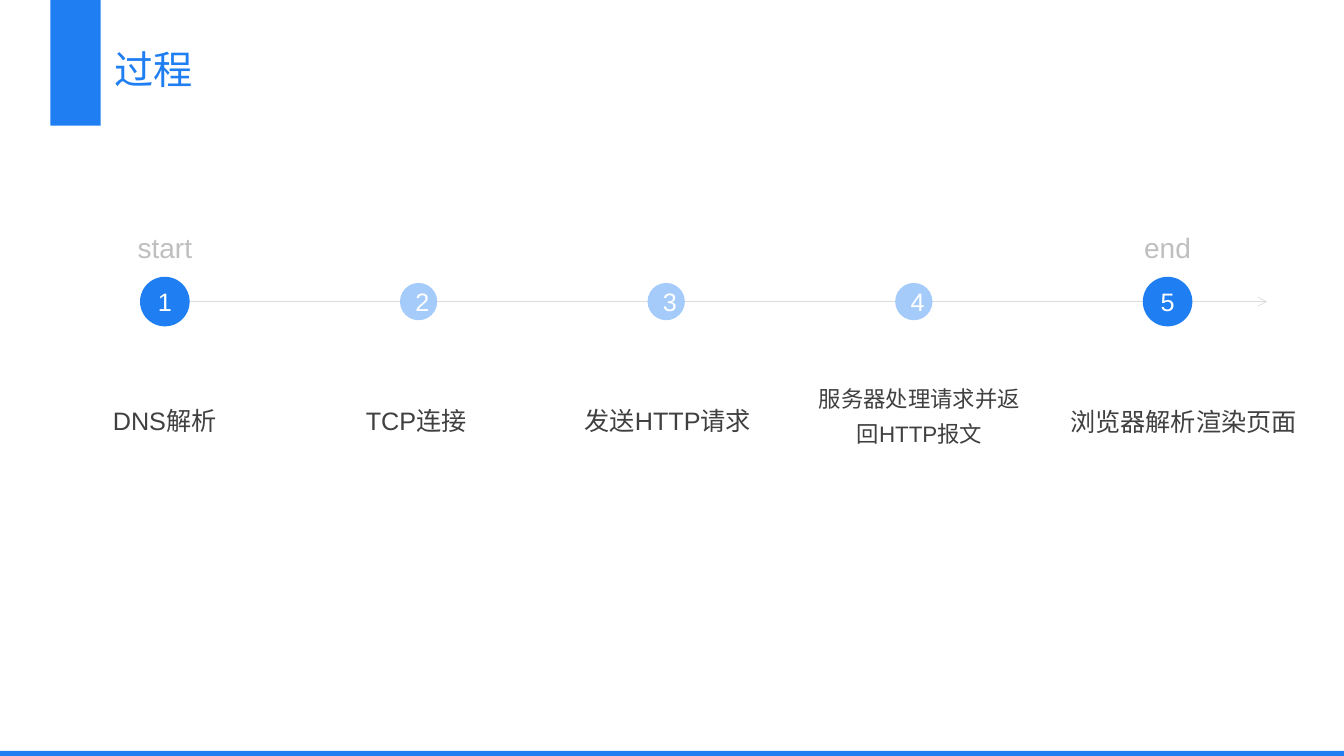
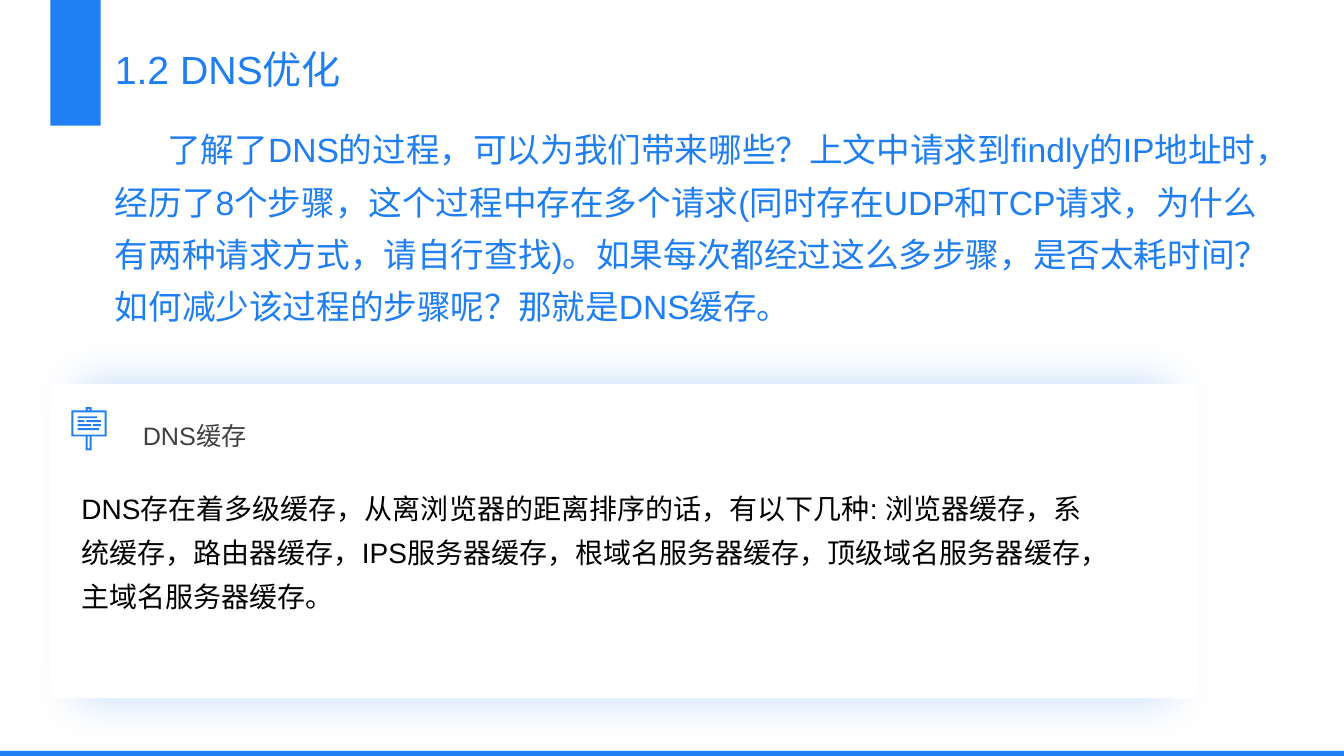
from dataclasses import dataclass
from typing import NamedTuple

from lxml.etree import SubElement
from pptx import Presentation
from pptx.dml.color import RGBColor
from pptx.enum.shapes import MSO_CONNECTOR, MSO_SHAPE
from pptx.enum.text import MSO_ANCHOR, MSO_AUTO_SIZE, PP_ALIGN
from pptx.oxml.ns import qn
from pptx.util import Cm, Pt

BLUE = RGBColor(0x1E, 0x7E, 0xF2)
PALE = RGBColor(0xA5, 0xCB, 0xFA)
WHITE = RGBColor(0xFF, 0xFF, 0xFF)
BLACK = RGBColor(0, 0, 0)
DARK = RGBColor(0x40, 0x40, 0x40)
GRAY = RGBColor(0xBF, 0xBF, 0xBF)
RULE = RGBColor(0xDC, 0xDC, 0xDC)

FONT = "Arial"
WIDE, HIGH = 33.87, 19.05
AXIS = 7.6
DOT_GAP = 5.3
LABEL_PITCH = 6.34


class Box(NamedTuple):
    """A rectangle in centimetres."""
    left: float
    top: float
    width: float
    height: float

    def place(self) -> tuple:
        return tuple(Cm(part) for part in self)


@dataclass(frozen=True)
class Look:
    size: int
    color: RGBColor
    align: PP_ALIGN = PP_ALIGN.LEFT
    anchor: MSO_ANCHOR = MSO_ANCHOR.TOP
    spacing: float = 1.3


@dataclass(frozen=True)
class Step:
    label: str
    mark: str = ""
    size: int = 18
    width: float = 5.82
    base: float = 11.1


TITLE = Look(28, BLUE)
LEAD = Look(24, BLUE, anchor=MSO_ANCHOR.BOTTOM)
HEADING = Look(18, DARK, anchor=MSO_ANCHOR.BOTTOM)
NOTE = Look(20, BLACK)
MARK = Look(20, GRAY, PP_ALIGN.CENTER)
DIGIT = Look(18, WHITE, PP_ALIGN.CENTER, MSO_ANCHOR.MIDDLE, 1.0)

STEPS = [
    Step("DNS解析", mark="start"),
    Step("TCP连接"),
    Step("发送HTTP请求"),
    Step("服务器处理请求并返回HTTP报文", size=16, base=11.38),
    Step("浏览器解析渲染页面", mark="end", width=6.45, base=11.13),
]

QUESTION = (
    "了解了DNS的过程，可以为我们带来哪些？上文中请求到findly的IP地址时，"
    "经历了8个步骤，这个过程中存在多个请求(同时存在UDP和TCP请求，"
    "为什么有两种请求方式，请自行查找)。如果每次都经过这么多步骤，"
    "是否太耗时间？如何减少该过程的步骤呢？那就是DNS缓存。"
)
ANSWER = (
    "DNS存在着多级缓存，从离浏览器的距离排序的话，有以下几种: 浏览器缓存，"
    "系统缓存，路由器缓存，IPS服务器缓存，根域名服务器缓存，"
    "顶级域名服务器缓存，主域名服务器缓存。"
)

# Sign outlines as left, top, right, bottom in hundredths of a centimetre
SIGN = [
    (180, 1034, 269, 1100), (185, 1039, 264, 1095),
    (216, 1100, 231, 1135), (221, 1100, 226, 1130),
    (216, 1026, 231, 1034), (221, 1031, 226, 1034),
]
# Left and right ends of the strokes in each row on the sign
ROWS = [[(196, 244)], [(196, 213), (218, 254)], [(196, 229), (234, 254)], [(196, 249)]]


def write(frame, text: str, look: Look) -> None:
    frame.text = text
    frame.word_wrap = True
    frame.auto_size = MSO_AUTO_SIZE.NONE
    frame.vertical_anchor = look.anchor
    line = frame.paragraphs[0]
    line.alignment = look.align
    line.line_spacing = look.spacing
    line.space_before = Pt(0)
    font = line.runs[0].font
    font.name, font.size, font.color.rgb = FONT, Pt(look.size), look.color


def add_text(slide, box: Box, text: str, look: Look) -> None:
    write(slide.shapes.add_textbox(*box.place()).text_frame, text, look)


def paint(shape, color: RGBColor) -> None:
    shape.shadow.inherit = False
    shape.fill.solid()
    shape.fill.fore_color.rgb = color
    shape.line.fill.background()


def add_shape(slide, kind: MSO_SHAPE, box: Box, color: RGBColor):
    shape = slide.shapes.add_shape(kind, *box.place())
    paint(shape, color)
    return shape


def fill_holder(holder, box: Box, text: str, look: Look) -> None:
    holder.left, holder.top, holder.width, holder.height = box.place()
    write(holder.text_frame, text, look)


def add_slide(deck, layout: int, title: str):
    slide = deck.slides.add_slide(deck.slide_layouts[layout])
    fill_holder(slide.shapes.title, Box(2.64, 0.66, 10.21, 2.24), title, TITLE)
    return slide


def add_bands(deck, slide) -> None:
    """Draw the tab and the foot band, then move them to the master."""
    bands = [Box(0, HIGH - 0.13, WIDE, 0.13), Box(1.27, 0, 1.27, 3.17)]
    for number, box in enumerate(bands, 101):
        band = add_shape(slide, MSO_SHAPE.RECTANGLE, box, BLUE)
        band.element.nvSpPr.cNvPr.set("id", str(number))
        deck.slide_master.shapes.element.append(band.element)


def add_axis(slide) -> None:
    axis = slide.shapes.add_connector(
        MSO_CONNECTOR.STRAIGHT, Cm(4.16), Cm(AXIS), Cm(31.93), Cm(AXIS))
    axis.line.color.rgb = RULE
    axis.line.width = Pt(0.5)
    SubElement(axis.line._get_or_add_ln(), qn("a:tailEnd"), type="arrow")
    SubElement(axis.element.spPr, qn("a:effectLst"))


def add_steps(slide) -> None:
    left = 3.53
    for index, step in enumerate(STEPS):
        size, color = (1.25, BLUE) if step.mark else (0.94, PALE)
        dot = add_shape(slide, MSO_SHAPE.OVAL,
                        Box(left, AXIS - size / 2, size, size), color)
        write(dot.text_frame, str(index + 1), DIGIT)
        if step.mark:
            add_text(slide, Box(left + size / 2 - 1.04, 5.44, 2.08, 1.4), step.mark, MARK)
        left += size + DOT_GAP
        box = Box(1.24 + index * LABEL_PITCH, step.base - 2.4, step.width, 2.4)
        look = Look(step.size, DARK, PP_ALIGN.CENTER, MSO_ANCHOR.BOTTOM)
        add_text(slide, box, step.label, look)


def add_card(slide) -> None:
    """Draw a white card with a soft glow above and below."""
    card = add_shape(slide, MSO_SHAPE.RECTANGLE, Box(1.27, 9.68, 28.93, 7.92), WHITE)
    glow = SubElement(
        card.element.spPr.find(qn("a:effectLst")), qn("a:outerShdw"),
        blurRad=str(Pt(32)), dist="0", dir="0", sx="95000", sy="100000",
        algn="ctr", rotWithShape="0")
    tint = SubElement(glow, qn("a:srgbClr"), val=str(BLUE))
    SubElement(tint, qn("a:alpha"), val="28000")


def add_sign(slide) -> None:
    bars = [(left, 1049 + 10 * row, right, 1054 + 10 * row)
            for row, spans in enumerate(ROWS) for left, right in spans]
    outlines = SIGN + bars
    pen = slide.shapes.build_freeform(*outlines[0][:2], scale=Cm(0.01))
    for index, (left, top, right, bottom) in enumerate(outlines):
        if index:
            pen.move_to(left, top)
        pen.add_line_segments([(right, top), (right, bottom), (left, bottom)], close=True)
    paint(pen.convert_to_shape(), BLUE)


def add_lead(slide) -> None:
    body = slide.placeholders[1]
    fill_holder(body, Box(2.64, 2.59, 29.46, 5.77), QUESTION, LEAD)
    props = body.text_frame.paragraphs[0]._p.get_or_add_pPr()
    props.set("marL", "0")
    props.set("indent", str(Cm(1.32)))
    SubElement(props, qn("a:buNone"))


def main() -> None:
    deck = Presentation()
    deck.slide_width, deck.slide_height = Cm(WIDE), Cm(HIGH)

    process = add_slide(deck, 5, "过程")
    add_bands(deck, process)
    add_axis(process)
    add_steps(process)

    cache = add_slide(deck, 1, "1.2 DNS优化")
    add_lead(cache)
    add_card(cache)
    add_sign(cache)
    add_text(cache, Box(3.35, 10.11, 12.34, 1.37), "DNS缓存", HEADING)
    add_text(cache, Box(1.8, 12.01, 26.04, 5), ANSWER, NOTE)

    deck.save("out.pptx")


if __name__ == "__main__":
    main()
